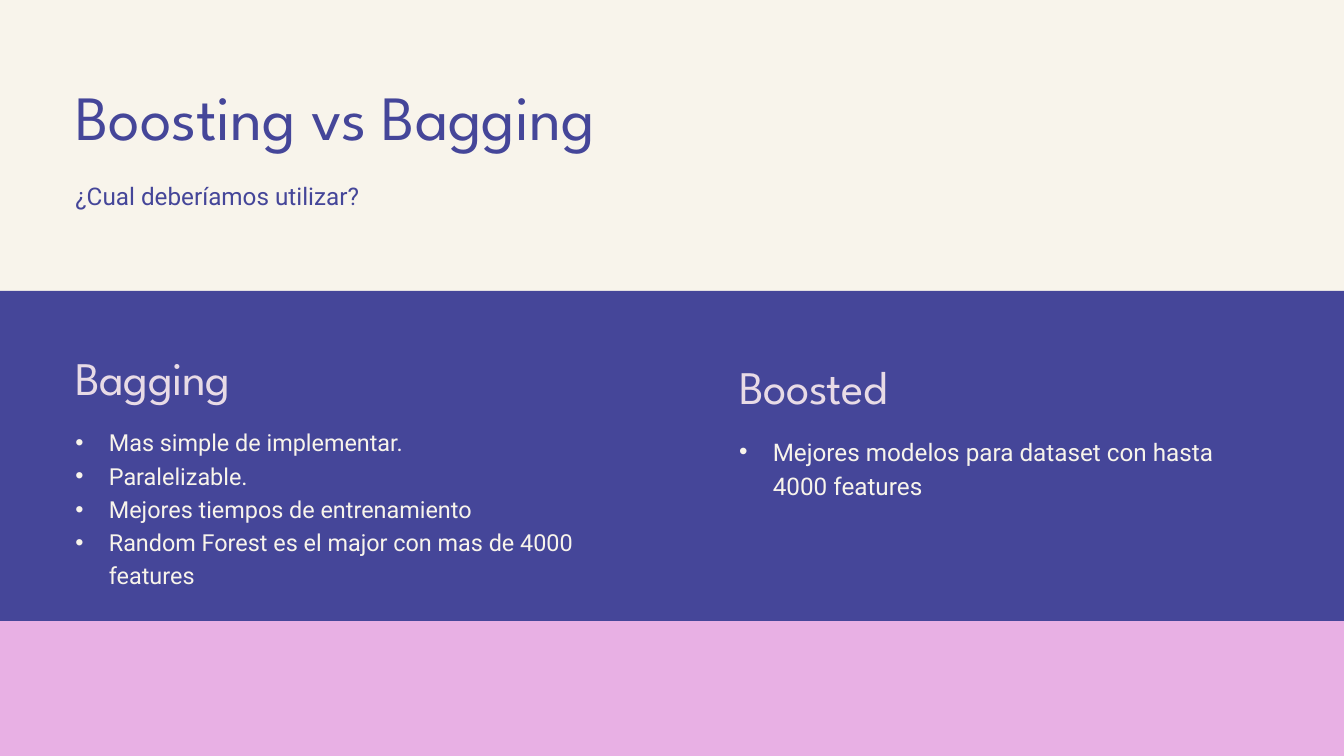
from lxml.etree import SubElement as Sub
from pptx import Presentation
from pptx.dml.color import RGBColor as RGB
from pptx.enum.shapes import MSO_SHAPE as Shape
from pptx.enum.text import MSO_AUTO_SIZE as Auto
from pptx.oxml.ns import qn
from pptx.util import Inches, Pt

WIDE, HIGH = 20, 11.25
HUES = {"cream": "F8F4EB", "pink": "E8B0E4", "blue": "454699", "pale": "E8DBE6"}

BANDS = [("pink", 9.16, 2.09), ("blue", 4.33, 4.91)]

STYLES = {
    "title": {"font": "League Spartan", "size": 67.5, "lead": 85, "hue": "blue"},
    "lede": {"font": "Roboto", "size": 26, "lead": 36.9, "hue": "blue"},
    "head": {"font": "League Spartan", "size": 50, "lead": 65, "hue": "pale", "track": -50},
    "list": {"font": "Roboto", "size": 26, "lead": 36.9, "hue": "cream", "dot": "•"},
    "dense": {"font": "Roboto", "size": 25.1, "lead": 35.6, "hue": "cream", "dot": "•"},
}

GROUPS = [
    (1.12, 10.15, [
        ("title", 1.09, 1.15, ["Boosting vs Bagging"]),
        ("lede", 2.62, 0.48, ["¿Cual deberíamos utilizar?"]),
    ]),
    (11, 7.46, [
        ("head", 5.26, 0.87, ["Boosted"]),
        ("list", 6.42, 1, ["Mejores modelos para dataset con hasta 4000 features"]),
    ]),
    (1.12, 8.29, [
        ("head", 5.12, 0.87, ["Bagging"]),
        ("dense", 6.3, 2.49, [
            "Mas simple de implementar.",
            "Paralelizable.",
            "Mejores tiempos de entrenamiento",
            "Random Forest es el major con mas de 4000 features",
        ]),
    ]),
]

FRAME = {
    "margin_left": 0, "margin_top": 0, "margin_right": 0, "margin_bottom": 0,
    "word_wrap": True, "auto_size": Auto.SHAPE_TO_FIT_TEXT,
}


def tint(name):
    return RGB.from_string(HUES[name])


def apply(item, values):
    for key, value in values.items():
        setattr(item, key, value)


def add_band(slide, hue, top, height):
    band = slide.shapes.add_shape(
        Shape.RECTANGLE, 0, Inches(top), Inches(WIDE), Inches(height))
    band.shadow.inherit = False
    band.fill.solid()
    band.fill.fore_color.rgb = tint(hue)
    band.line.fill.background()


def add_dot(para, mark):
    props = para._p.get_or_add_pPr()
    props.set("marL", str(Inches(0.5)))
    props.set("indent", str(Inches(-0.5)))
    Sub(props, qn("a:buFont"), typeface="Arial")
    Sub(props, qn("a:buChar"), char=mark)


def add_line(para, text, style):
    if "dot" in style:
        add_dot(para, style["dot"])
    para.line_spacing = Pt(style["lead"])
    run = para.add_run()
    run.text = text
    apply(run.font, {"name": style["font"], "size": Pt(style["size"])})
    run.font.color.rgb = tint(style["hue"])
    if "track" in style:
        run.font._element.set("spc", str(style["track"]))


def add_text(group, box, lines, style):
    frame = group.shapes.add_textbox(*map(Inches, box)).text_frame
    apply(frame, FRAME)
    for i, text in enumerate(lines):
        para = frame.add_paragraph() if i else frame.paragraphs[0]
        add_line(para, text, style)


def main():
    deck = Presentation()
    apply(deck, {"slide_width": Inches(WIDE), "slide_height": Inches(HIGH)})
    slide = deck.slides.add_slide(deck.slide_layouts[6])
    slide.background.fill.solid()
    slide.background.fill.fore_color.rgb = tint("cream")
    for band in BANDS:
        add_band(slide, *band)
    for left, width, texts in GROUPS:
        group = slide.shapes.add_group_shape()
        for kind, top, height, lines in texts:
            add_text(group, (left, top, width, height), lines, STYLES[kind])
    deck.save("out.pptx")


if __name__ == "__main__":
    main()
